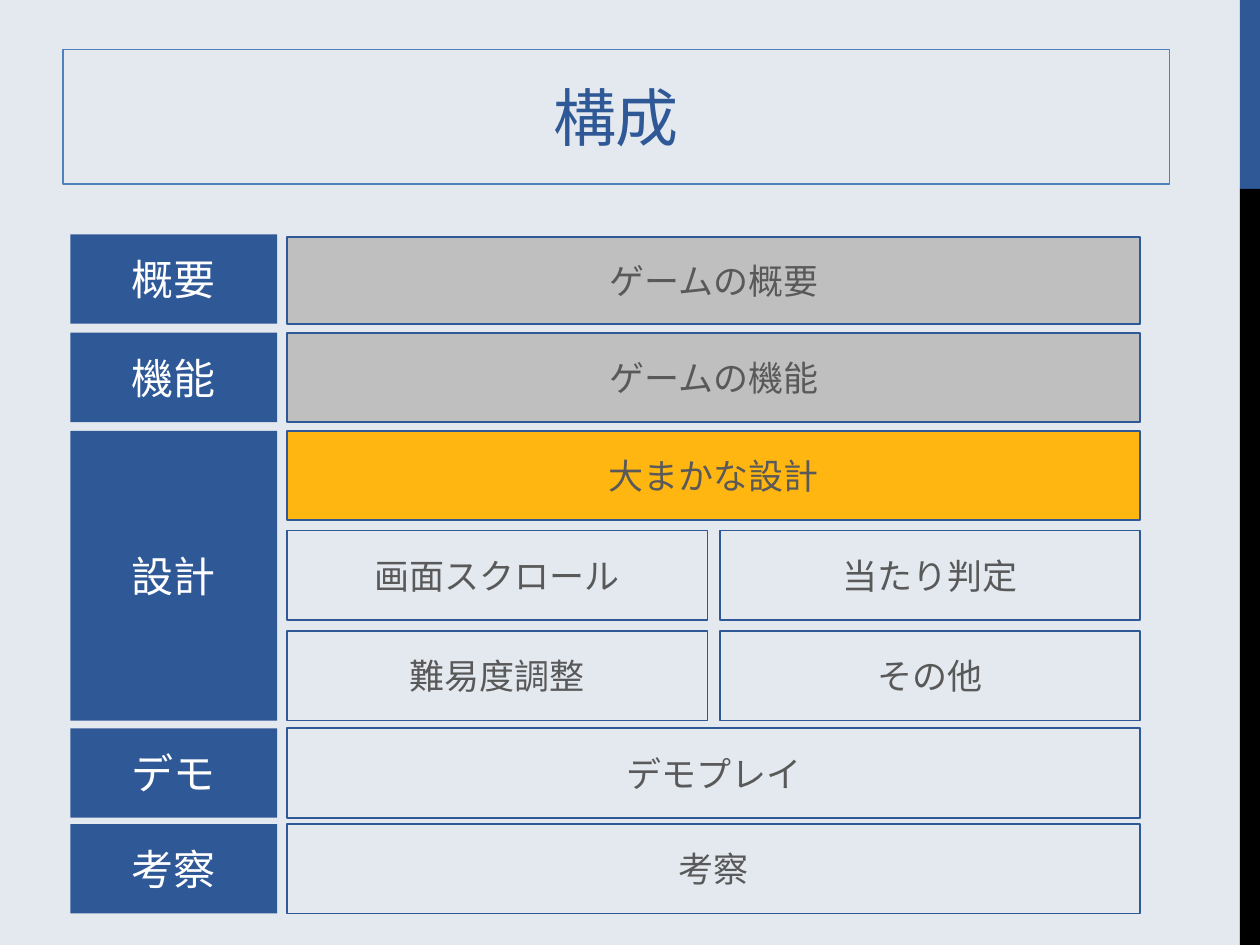
from lxml import etree
from pptx import Presentation
from pptx.dml.color import RGBColor
from pptx.enum.shapes import MSO_SHAPE
from pptx.enum.text import MSO_ANCHOR, PP_ALIGN
from pptx.oxml.ns import qn
from pptx.util import Inches, Pt

RECTANGLE = MSO_SHAPE.RECTANGLE
MIDDLE = MSO_ANCHOR.MIDDLE
CENTER = PP_ALIGN.CENTER

FONT = "Noto Sans CJK JP"
COLORS = {
    "background": "E4E9EF",
    "blue": "2F5897",
    "black": "000000",
    "title_line": "4F81BD",
    "white": "FFFFFF",
    "text": "595959",
    "done": "BFBFBF",
    "current": "FFB611",
}

ROW_TOPS = [1.86, 2.64, 3.42, 4.21, 5.01, 5.78, 6.54]
ROW_HEIGHT = 0.71
LABEL_LEFT, LABEL_WIDTH = 0.56, 1.64
TOPIC_LEFT, TOPIC_WIDTH, TOPIC_GAP = 2.28, 6.77, 0.1

# Label, first row, last row
SECTIONS = [
    ("概要", 0, 0),
    ("機能", 1, 1),
    ("設計", 2, 4),
    ("デモ", 5, 5),
    ("考察", 6, 6),
]
# Topics sharing a row, fill colour
TOPIC_ROWS = [
    (["ゲームの概要"], "done"),
    (["ゲームの機能"], "done"),
    (["大まかな設計"], "current"),
    (["画面スクロール", "当たり判定"], None),
    (["難易度調整", "その他"], None),
    (["デモプレイ"], None),
    (["考察"], None),
]


def rgb(name):
    return RGBColor.from_string(COLORS[name])


def write_text(shape, text, size, color):
    """Write one centred run and return it."""
    frame = shape.text_frame
    frame.word_wrap = True
    frame.vertical_anchor = MIDDLE
    paragraph = frame.paragraphs[0]
    paragraph.alignment = CENTER
    run = paragraph.add_run()
    run.text = text
    run.font.size = Pt(size)
    run.font.color.rgb = rgb(color)
    run.font.name = FONT
    east_asian = etree.SubElement(run.font._element, qn("a:ea"))
    east_asian.set("typeface", FONT)
    return run


def add_box(slide, left, top, width, height, fill=None, line=None):
    shape = slide.shapes.add_shape(
        RECTANGLE, Inches(left), Inches(top), Inches(width), Inches(height))
    shape.shadow.inherit = False
    if fill:
        shape.fill.solid()
        shape.fill.fore_color.rgb = rgb(fill)
    else:
        shape.fill.background()
    if line:
        shape.line.color.rgb = rgb(line)
        shape.line.width = Pt(1)
    else:
        shape.line.fill.background()
    return shape


def format_title(slide, text):
    title = slide.shapes.title
    title.left, title.top = Inches(0.5), Inches(0.39)
    title.width, title.height = Inches(8.78), Inches(1.07)
    title.line.color.rgb = rgb("title_line")
    title.line.width = Pt(0.75)
    run = write_text(title, text, 36, "blue")
    run.font._element.set("spc", "-60")


def add_section_label(slide, text, first, last):
    top = ROW_TOPS[first]
    height = ROW_TOPS[last] + ROW_HEIGHT - top
    box = add_box(slide, LABEL_LEFT, top, LABEL_WIDTH, height, fill="blue")
    write_text(box, text, 24, "white")


def add_topic_row(slide, topics, top, height, fill):
    """Share the topic column's width equally among the topics."""
    width = (TOPIC_WIDTH - TOPIC_GAP * (len(topics) - 1)) / len(topics)
    for column, topic in enumerate(topics):
        left = TOPIC_LEFT + column * (width + TOPIC_GAP)
        box = add_box(slide, left, top, width, height, fill, line="blue")
        write_text(box, topic, 20, "text")


def main():
    presentation = Presentation()
    presentation.slide_width = Inches(10)
    presentation.slide_height = Inches(7.5)
    slide = presentation.slides.add_slide(presentation.slide_layouts[5])
    slide.background.fill.solid()
    slide.background.fill.fore_color.rgb = rgb("background")

    add_box(slide, 9.84, 0, 0.16, 1.5, fill="blue")
    add_box(slide, 9.84, 1.5, 0.16, 6, fill="black")
    format_title(slide, "構成")
    for text, first, last in SECTIONS:
        add_section_label(slide, text, first, last)
    for row, (topics, fill) in enumerate(TOPIC_ROWS):
        # The first topic sits slightly below the top of its label
        inset = 0.02 if row == 0 else 0
        add_topic_row(slide, topics, ROW_TOPS[row] + inset,
                      ROW_HEIGHT - inset, fill)

    presentation.save("out.pptx")


if __name__ == "__main__":
    main()
